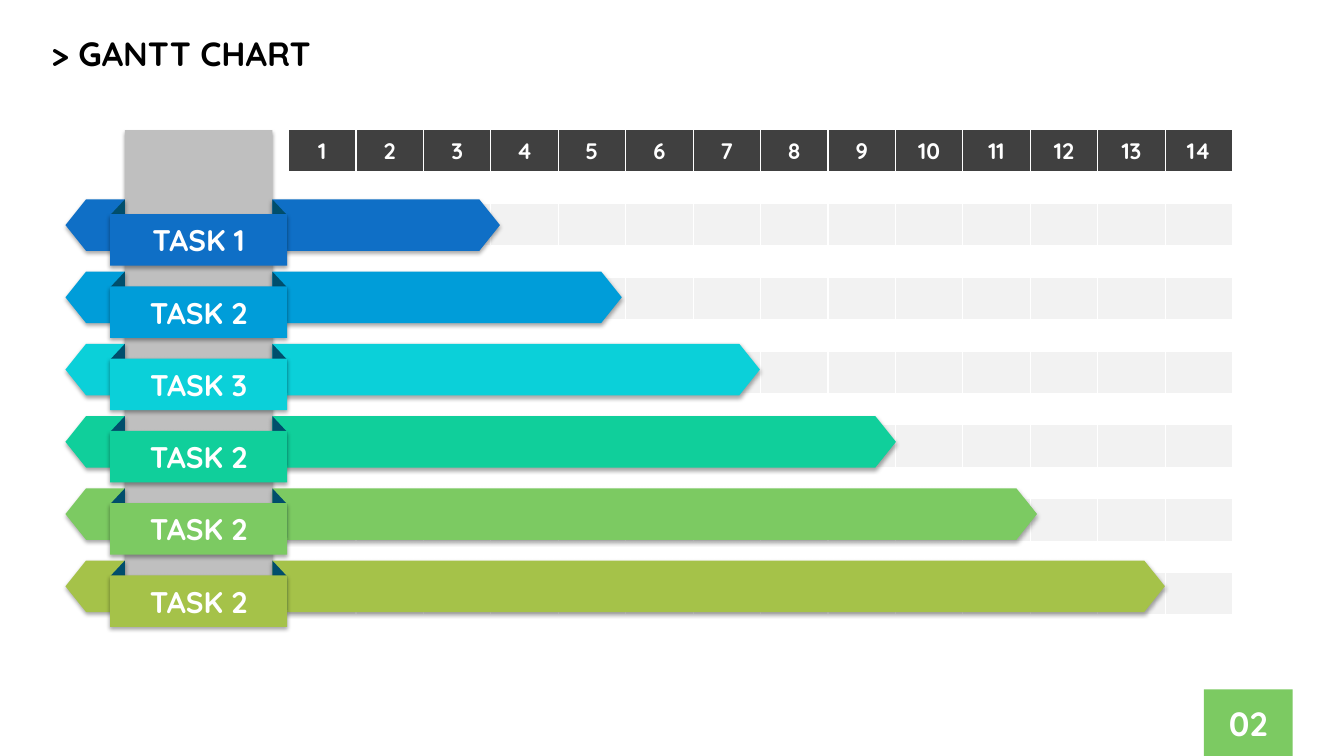
from dataclasses import dataclass
from lxml import etree
from pptx import Presentation
from pptx.dml.color import RGBColor
from pptx.enum.shapes import MSO_SHAPE
from pptx.enum.text import MSO_ANCHOR, MSO_AUTO_SIZE, PP_ALIGN
from pptx.oxml.ns import qn
from pptx.util import Pt


def color(value):
    return RGBColor.from_string(value)


def child(parent, tag, **attributes):
    return etree.SubElement(parent, qn(tag), {k: str(v) for k, v in attributes.items()})


def paint(target, value):
    target.fill.solid()
    target.fill.fore_color.rgb = color(value)


@dataclass
class GanttSlide:
    slide: object
    font: str = "Quicksand"
    light: str = "FFFFFF"

    def add_text(self, frame, text, size, ink, align=PP_ALIGN.CENTER):
        paragraph = frame.paragraphs[0]
        paragraph.alignment = align
        run = paragraph.add_run()
        run.text = text
        run.font.name = self.font
        run.font.size = Pt(size)
        run.font.bold = True
        run.font.color.rgb = color(ink)
        return paragraph

    def placeholder(self, index, text, box, ink, align, anchor):
        holder = self.slide.placeholders[index]
        holder.left, holder.top, holder.width, holder.height = map(Pt, box)
        frame = holder.text_frame
        frame.auto_size = MSO_AUTO_SIZE.NONE
        frame.vertical_anchor = anchor
        paragraph = self.add_text(frame, text, 24, ink, align)
        properties = paragraph._p.get_or_add_pPr()
        properties.set("marL", "0")
        properties.set("indent", "0")
        child(properties, "a:buNone")
        return holder

    def shape(self, kind, box, fill, adjust=None, flip=False, rotation=0, shadow=True):
        shape = self.slide.shapes.add_shape(kind, *map(Pt, box))
        paint(shape, fill)
        shape.line.fill.background()
        shape.shadow.inherit = False
        shape.rotation = rotation
        if adjust is not None:
            shape.adjustments[0] = adjust
        if flip:
            shape._element.spPr.find(qn("a:xfrm")).set("flipH", "1")
        if shadow:
            effects = shape._element.spPr.find(qn("a:effectLst"))
            outer = child(effects, "a:outerShdw", blurRad=Pt(3.1), dist=Pt(1.8),
                          dir=5400000, algn="t", rotWithShape=0)
            child(child(outer, "a:srgbClr", val="000000"), "a:alpha", val=35000)
        return shape

    def label(self, text, box, fill):
        frame = self.shape(MSO_SHAPE.RECTANGLE, box, fill).text_frame
        frame.vertical_anchor = MSO_ANCHOR.MIDDLE
        self.add_text(frame, text, 21.3, self.light)

    def cell(self, cell, fill, text):
        cell.margin_left = cell.margin_right = Pt(9.4)
        cell.margin_top = cell.margin_bottom = Pt(4 if text else 0)
        cell.vertical_anchor = MSO_ANCHOR.MIDDLE
        properties = cell._tc.get_or_add_tcPr()
        for side in ("a:lnL", "a:lnR"):
            solid = child(child(properties, side, w=Pt(1)), "a:solidFill")
            child(solid, "a:srgbClr", val=self.light)
        for side in ("a:lnT", "a:lnB"):
            child(child(properties, side, w=0), "a:noFill")
        paint(cell, fill)
        if text:
            self.add_text(cell.text_frame, text, 16, self.light)

    def timeline(self, periods, tasks, box, band, gap):
        table = self.slide.shapes.add_table(2 * tasks + 1, periods, *map(Pt, box)).table
        table.first_row = table.horz_banding = False
        for column in table.columns:
            column.width = Pt(box[2] / periods)
        for r, row in enumerate(table.rows):
            row.height = Pt(gap if r % 2 else band)
            fill = "404040" if r == 0 else self.light if r % 2 else "F2F2F2"
            for c, cell in enumerate(row.cells):
                self.cell(cell, fill, "" if r else str(c + 1))

    def task(self, name, top, length, fill):
        height, tip, fold = 36.8, 0.4, 10.6
        left, right = 89.3, 194.6
        self.shape(MSO_SHAPE.PENTAGON, (right, top, length, height), fill, tip)
        self.shape(MSO_SHAPE.PENTAGON, (left - 42.5, top, 42.5, height), fill, tip, flip=True)
        span = 35.2
        for center, angle in ((left - fold / 2, 270), (right + fold / 2, 90)):
            box = (center - span / 2, top + (span - fold) / 2, span, fold)
            self.shape(MSO_SHAPE.PARALLELOGRAM, box, "004E6C", 1.07,
                       flip=angle == 270, rotation=angle, shadow=False)
        self.label(name, (left - fold, top + fold, right - left + 2 * fold, height), fill)


TASKS = [
    ("TASK 1", 162.7, "0F6FC6"),
    ("TASK 2", 249.8, "009DD9"),
    ("TASK 3", 348.5, "0BD0D9"),
    ("TASK 2", 445.7, "10CF9B"),
    ("TASK 2", 546.5, "7CCA62"),
    ("TASK 2", 637.9, "A5C249"),
]

deck = Presentation()
deck.slide_width, deck.slide_height = Pt(960.5), Pt(540)
gantt = GanttSlide(deck.slides.add_slide(deck.slide_layouts[1]))
gantt.placeholder(0, "> GANTT CHART", (29.5, 20.2, 383, 41.8), "000000",
                  PP_ALIGN.LEFT, MSO_ANCHOR.TOP)
page = gantt.placeholder(1, "02", (860.4, 492.5, 63.4, 48.2), gantt.light,
                         PP_ALIGN.CENTER, MSO_ANCHOR.MIDDLE)
paint(page, "7CCA62")
gantt.shape(MSO_SHAPE.RECTANGLE, (89.3, 92.9, 105.3, 336.2), "BFBFBF")
gantt.timeline(14, len(TASKS), (206.2, 92.9, 674.8, 346.8), 29.5, 23.3)
for i, (name, length, fill) in enumerate(TASKS):
    gantt.task(name, 142.4 + 51.6 * i, length, fill)
deck.save("out.pptx")
